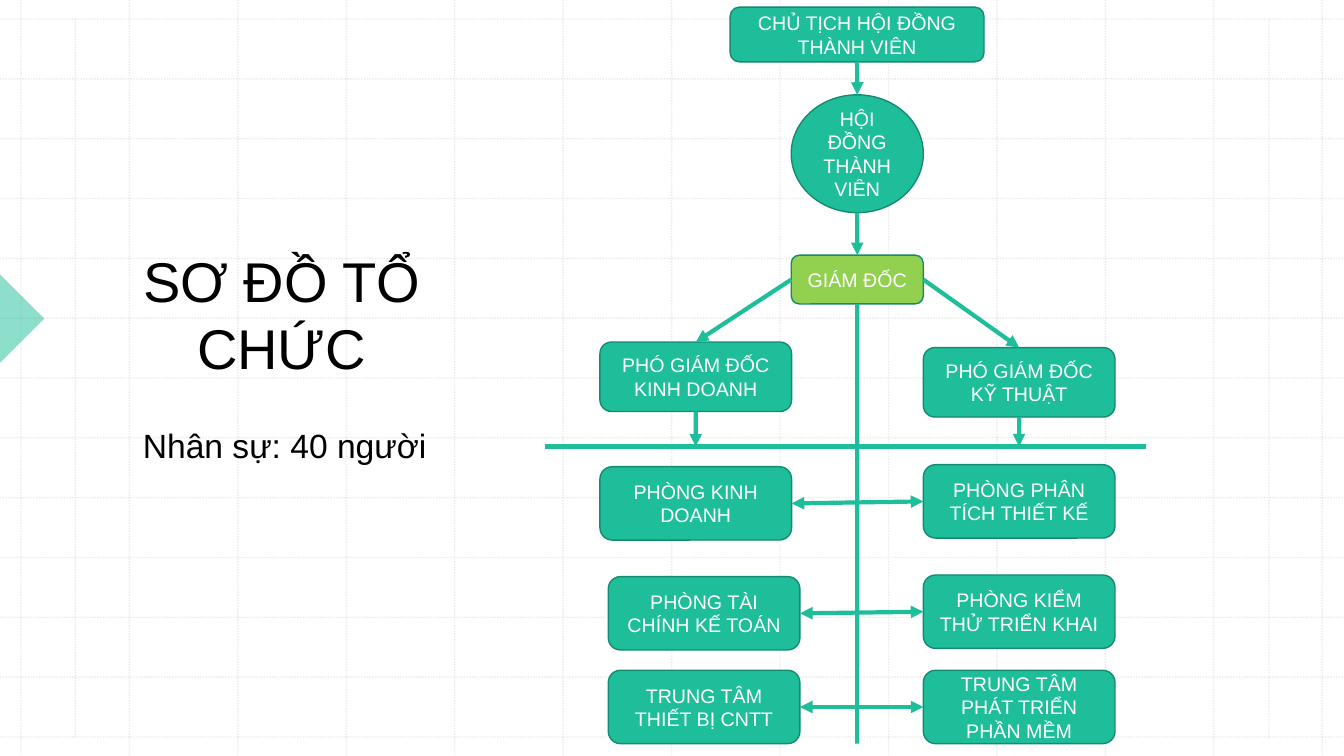
from lxml import etree
from pptx import Presentation
from pptx import util as u
from pptx.dml.color import RGBColor
from pptx.enum import dml, shapes, text
from pptx.oxml.ns import qn

GREEN, EDGE, LIME = "1EBE9B", "158A71", "92D050"
WIDTH, HEIGHT = 33.87, 19.05
TOP, LEFT, BOTTOM, RIGHT = range(4)

TITLE = "SƠ ĐỒ TỔ CHỨC"
STAFF = "Nhân sự: 40 người"

# key: (wording, left, top, width, height), in centimetres
BOXES = {
    "chairman": ("CHỦ TỊCH HỘI ĐỒNG THÀNH VIÊN", 18.4, 0.18, 6.4, 1.38),
    "council": ("HỘI ĐỒNG THÀNH VIÊN", 19.94, 2.39, 3.33, 2.97),
    "director": ("GIÁM ĐỐC", 19.94, 6.43, 3.33, 1.23),
    "sales deputy": ("PHÓ GIÁM ĐỐC KINH DOANH", 15.12, 8.62, 4.83, 1.75),
    "technical deputy": ("PHÓ GIÁM ĐỐC KỸ THUẬT", 23.27, 8.76, 4.83, 1.75),
    "sales": ("PHÒNG KINH DOANH", 15.12, 11.76, 4.83, 1.85),
    "design": ("PHÒNG PHÂN TÍCH THIẾT KẾ", 23.27, 11.71, 4.83, 1.85),
    "testing": ("PHÒNG KIỂM THỬ TRIỂN KHAI", 23.27, 14.49, 4.83, 1.85),
    "finance": ("PHÒNG TÀI CHÍNH KẾ TOÁN", 15.33, 14.53, 4.83, 1.85),
    "software": ("TRUNG TÂM PHÁT TRIỂN PHẦN MỀM", 23.27, 16.89, 4.83, 1.85),
    "equipment": ("TRUNG TÂM THIẾT BỊ CNTT", 15.33, 16.89, 4.83, 1.85),
}
BAR_Y, BAR_LEFT, BAR_RIGHT, TRUNK_END = 11.25, 13.73, 28.89, 18.74

# An end is a (box key, side) pair or an (x, y) point
ONE_WAY = [
    (("chairman", BOTTOM), ("council", TOP)),
    ((21.6, 5.36), ("director", TOP)),
    (("director", LEFT), ("sales deputy", TOP)),
    (("director", RIGHT), ("technical deputy", TOP)),
    (("sales deputy", BOTTOM), (17.53, BAR_Y)),
    (("technical deputy", BOTTOM), (25.68, BAR_Y)),
]
TWO_WAY = [("sales", "design"), ("finance", "testing"), ("equipment", "software")]

GRID_COUNT = 13
GRID_X, GRID_X_END = 0.53, 33.32
GRID_Y, GRID_Y_END = 0.48, 18.57
INNER_X = (1.9, 31.98)


def color(code):
    return RGBColor.from_string(code)


def set_opacity(fill_parent, percent):
    hue = next(fill_parent.iter(qn("a:srgbClr")))
    etree.SubElement(hue, qn("a:alpha"), val=str(percent * 1000))


def write(shape, wording, size, ink, align, anchor, margin=0.13):
    frame = shape.text_frame
    frame.word_wrap = True
    frame.vertical_anchor = anchor
    frame.margin_left = frame.margin_right = u.Cm(0.25)
    frame.margin_top = frame.margin_bottom = u.Cm(margin)
    para = frame.paragraphs[0]
    para.alignment = align
    span = para.add_run()
    span.text = wording
    span.font.name, span.font.size = "Arial", u.Pt(size)
    span.font.color.rgb = color(ink)


def add_shape(page, preset, place, fill, line=None):
    shape = page.shapes.add_shape(preset, *map(u.Cm, place))
    shape.shadow.inherit = False
    shape.fill.solid()
    shape.fill.fore_color.rgb = color(fill)
    if line:
        shape.line.color.rgb = color(line)
        shape.line.width = u.Pt(1)
    else:
        shape.line.fill.background()
    return shape


def add_line(page, start, end, code=GREEN, width=3, arrows=()):
    """Draw a straight line; arrows lists headEnd and/or tailEnd, in that order."""
    line = page.shapes.add_connector(
        shapes.MSO_CONNECTOR.STRAIGHT, *map(u.Cm, (*start, *end)))
    line.line.color.rgb = color(code)
    line.line.width = u.Pt(width)
    for arrow in arrows:
        etree.SubElement(line.line._get_or_add_ln(), qn("a:" + arrow), type="triangle")
    etree.SubElement(line._element.spPr, qn("a:effectLst"))
    return line


def link(page, boxes, start, end, arrows):
    """Draw an arrow and join each end that names a box."""
    points = [(0, 0) if end_at[0] in boxes else end_at for end_at in (start, end)]
    line = add_line(page, *points, arrows=arrows)
    for end_at, join in ((start, line.begin_connect), (end, line.end_connect)):
        if end_at[0] in boxes:
            join(boxes[end_at[0]], end_at[1])


def draw_background(page):
    step_x = (GRID_X_END - GRID_X) / (GRID_COUNT - 1)
    step_y = (GRID_Y_END - GRID_Y) / (GRID_COUNT - 1)
    grid = [((x, GRID_Y), (x, GRID_Y_END)) for x in INNER_X]
    for i in range(GRID_COUNT):
        x, y = GRID_X + i * step_x, GRID_Y + i * step_y
        grid += [((x, 0), (x, HEIGHT)), ((0, y), (WIDTH, y))]
    for start, end in grid:
        line = add_line(page, start, end, "BCBCBC", 1)
        line.line.dash_style = dml.MSO_LINE.ROUND_DOT
        set_opacity(line._element.spPr, 30)
    marker = add_shape(page, shapes.MSO_SHAPE.RIGHT_TRIANGLE,
                       (-0.79, 7.24, 1.58, 1.58), GREEN)
    marker.rotation = 225
    set_opacity(marker._element.spPr, 50)


def draw_chart(page):
    boxes = {}
    for key, (wording, *place) in BOXES.items():
        preset = (shapes.MSO_SHAPE.OVAL if key == "council"
                  else shapes.MSO_SHAPE.ROUNDED_RECTANGLE)
        box = add_shape(page, preset, place, LIME if key == "director" else GREEN, EDGE)
        write(box, wording, 14, "FFFFFF", text.PP_ALIGN.CENTER, text.MSO_ANCHOR.MIDDLE)
        boxes[key] = box
    for start, end in ONE_WAY:
        link(page, boxes, start, end, ["tailEnd"])
    for left, right in TWO_WAY:
        link(page, boxes, (left, RIGHT), (right, LEFT), ["headEnd", "tailEnd"])
    add_line(page, (BAR_LEFT, BAR_Y), (BAR_RIGHT, BAR_Y))
    trunk = add_line(page, (0, 0), (21.6, TRUNK_END))
    trunk.begin_connect(boxes["director"], BOTTOM)


def main():
    deck = Presentation()
    deck.slide_width, deck.slide_height = u.Cm(WIDTH), u.Cm(HEIGHT)
    page = deck.slides.add_slide(deck.slide_layouts[6])
    draw_background(page)
    title = page.shapes.add_textbox(*map(u.Cm, (1.24, 6.07, 11.71, 3.68)))
    write(title, TITLE, 40, "000000", text.PP_ALIGN.CENTER, text.MSO_ANCHOR.TOP)
    draw_chart(page)
    staff = page.shapes.add_textbox(*map(u.Cm, (3.35, 10.46, 8.23, 1.55)))
    write(staff, STAFF, 24, "000000", text.PP_ALIGN.LEFT, text.MSO_ANCHOR.TOP, 0.25)
    deck.save("out.pptx")


if __name__ == "__main__":
    main()
